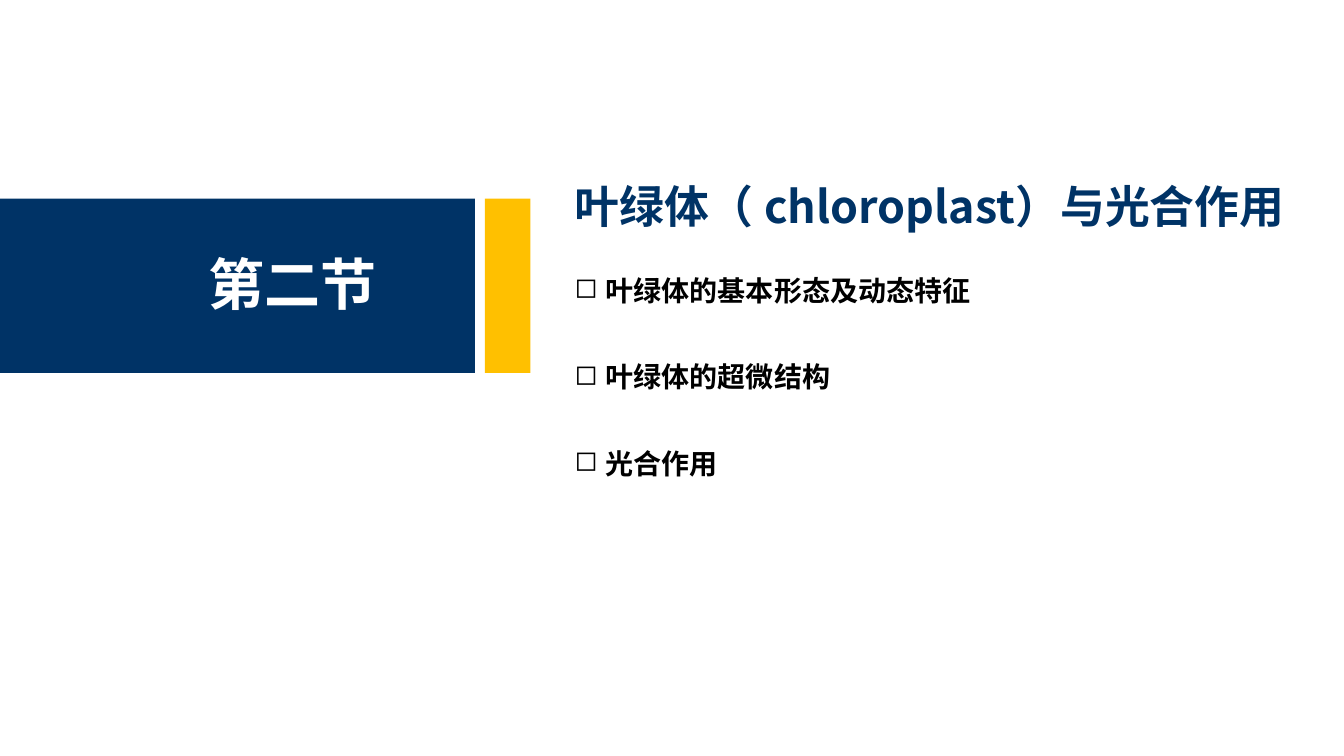
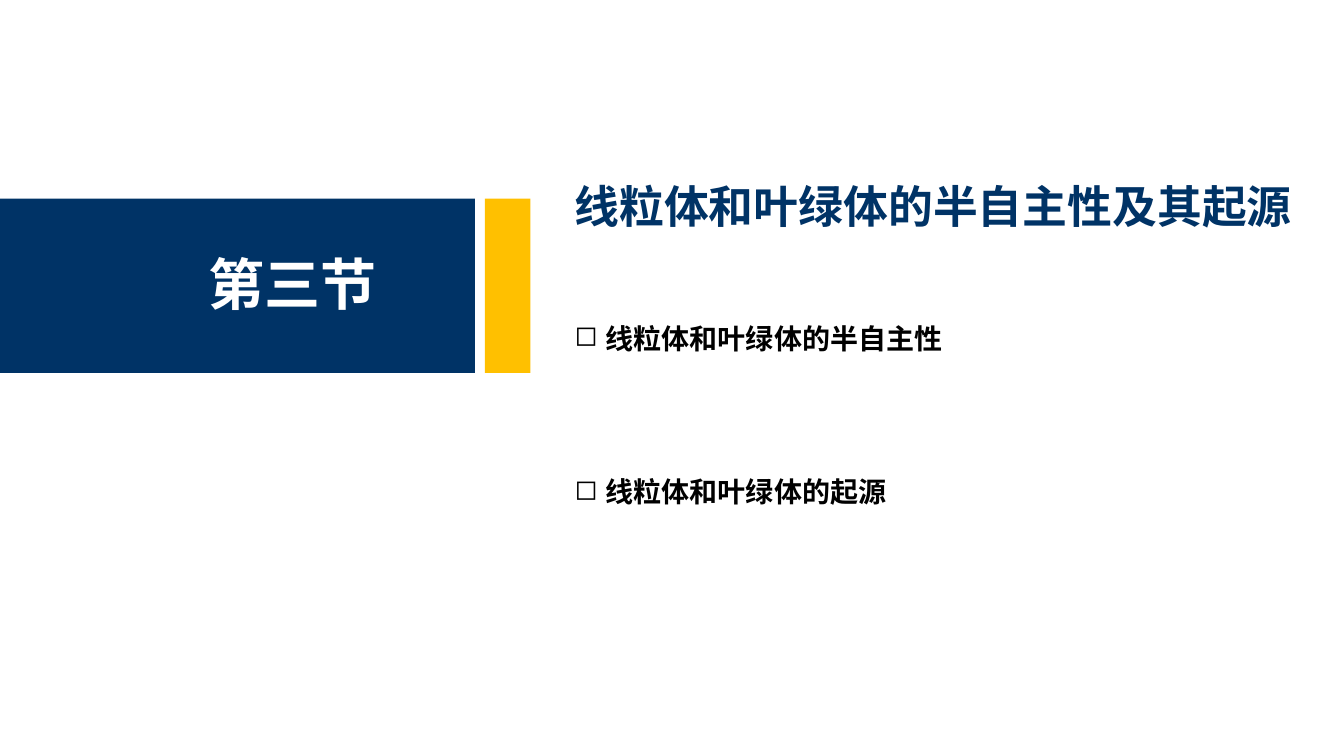
from pptx import Presentation
from pptx.dml.color import RGBColor
from pptx.enum import shapes, text
from pptx.oxml.xmlchemy import OxmlElement
from pptx.util import Inches, Pt

SECTIONS = [
    {
        "number": "第二节",
        "title": "叶绿体（ chloroplast）与光合作用",
        "topics": ["叶绿体的基本形态及动态特征", "叶绿体的超微结构", "光合作用"],
        "first_top": 2.66,
        "pitch": 0.86,
    },
    {
        "number": "第三节",
        "title": "线粒体和叶绿体的半自主性及其起源",
        "topics": ["线粒体和叶绿体的半自主性", "线粒体和叶绿体的起源"],
        "first_top": 3.14,
        "pitch": 1.52,
    },
]

FONT = "Noto Sans CJK SC"
NAVY, GOLD, WHITE, BLACK = "003366", "FFC000", "FFFFFF", "000000"
BAND_TOP, BAND_HEIGHT = 1.97, 1.73
BANDS = [(0, 4.71, NAVY), (4.81, 0.45, GOLD)]
TEXT_LEFT, TEXT_WIDTH = 5.6, 7.73
BULLET, BULLET_INDENT = "◻", 0.31


def color(value):
    return RGBColor.from_string(value)


def add_band(slide, left, width, fill):
    band = slide.shapes.add_shape(
        shapes.MSO_SHAPE.RECTANGLE,
        Inches(left), Inches(BAND_TOP), Inches(width), Inches(BAND_HEIGHT))
    band.shadow.inherit = False
    band.fill.solid()
    band.fill.fore_color.rgb = color(fill)
    band.line.fill.background()


def add_bullet(paragraph):
    properties = paragraph._p.get_or_add_pPr()
    properties.set("marL", str(Inches(BULLET_INDENT)))
    properties.set("indent", str(-Inches(BULLET_INDENT)))
    mark = OxmlElement("a:buChar")
    mark.set("char", BULLET)
    properties.append(mark)


def add_text(slide, words, *, left, top, width, height, size, ink,
             wrap=True, bullet=False):
    box = slide.shapes.add_textbox(
        Inches(left), Inches(top), Inches(width), Inches(height))
    frame = box.text_frame
    frame.word_wrap = wrap
    frame.auto_size = text.MSO_AUTO_SIZE.SHAPE_TO_FIT_TEXT
    paragraph = frame.paragraphs[0]
    if bullet:
        add_bullet(paragraph)
    run = paragraph.add_run()
    run.text = words
    run.font.size = Pt(size)
    run.font.bold = True
    run.font.color.rgb = color(ink)
    run.font.name = FONT
    east_asian = OxmlElement("a:ea")
    east_asian.set("typeface", FONT)
    run.font._element.append(east_asian)


def add_section(deck, section):
    slide = deck.slides.add_slide(deck.slide_layouts[6])
    for left, width, fill in BANDS:
        add_band(slide, left, width, fill)
    add_text(slide, section["number"], left=1.97, top=2.43, width=1.88,
             height=0.77, size=40, ink=WHITE, wrap=False)
    add_text(slide, section["title"], left=TEXT_LEFT, top=1.72,
             width=TEXT_WIDTH, height=0.64, size=32, ink=NAVY)
    for index, topic in enumerate(section["topics"]):
        add_text(slide, topic, left=TEXT_LEFT,
                 top=section["first_top"] + index * section["pitch"],
                 width=TEXT_WIDTH, height=0.44, size=20, ink=BLACK, bullet=True)


def main():
    deck = Presentation()
    deck.slide_width, deck.slide_height = Inches(13.33), Inches(7.5)
    for section in SECTIONS:
        add_section(deck, section)
    deck.save("out.pptx")


if __name__ == "__main__":
    main()
